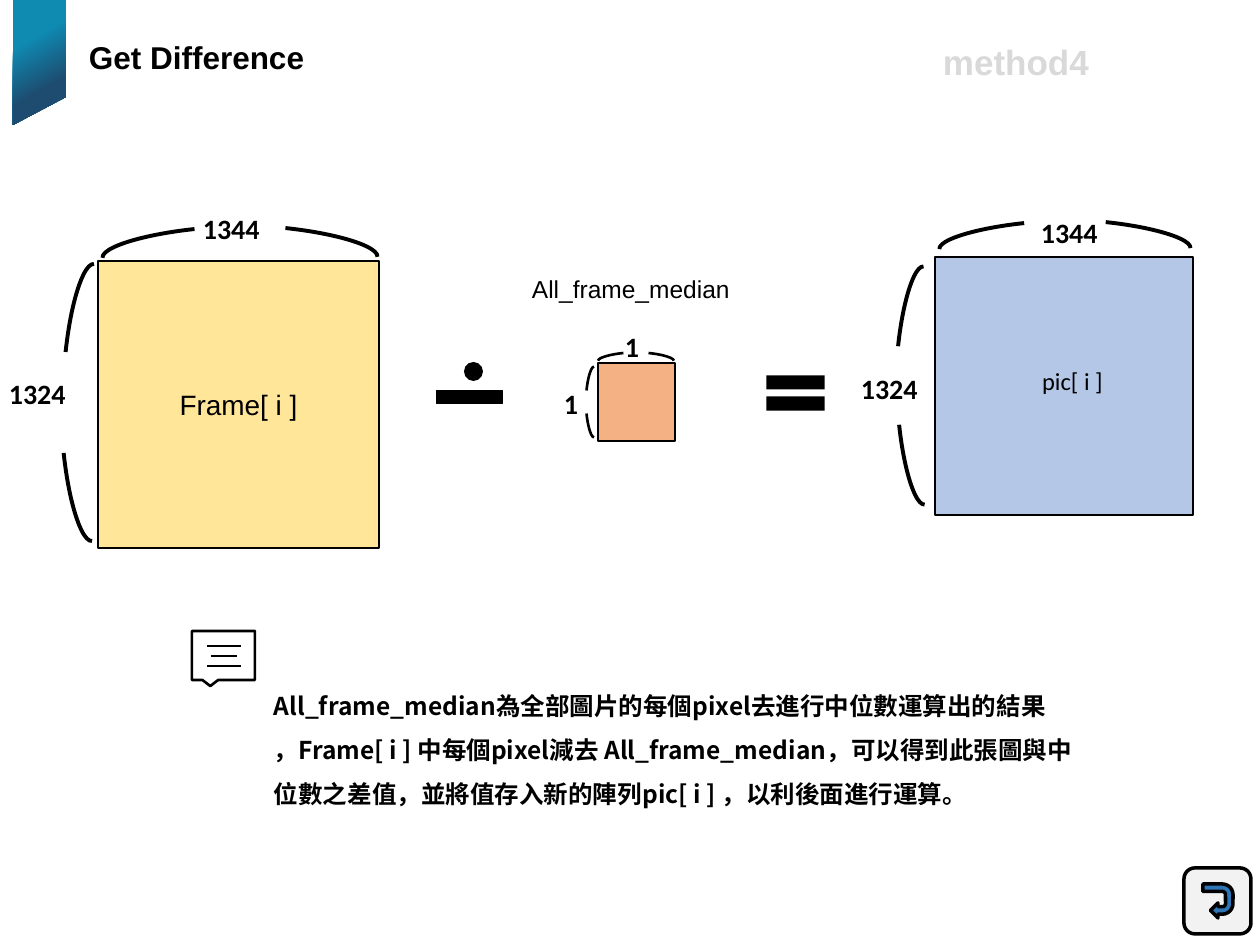
import pptx
import pptx.util
import pptx.dml.color
import pptx.enum.shapes
import pptx.enum.text
import pptx.oxml.ns
import lxml.etree

PX = 7257
RGB = pptx.dml.color.RGBColor
BLACK = RGB(0, 0, 0)
TEAL = RGB(0x0F, 0x8A, 0xB1)
NAVY = RGB(0x1E, 0x4B, 0x70)
YELLOW = RGB(0xFF, 0xE6, 0x99)
ORANGE = RGB(0xF4, 0xB1, 0x83)
PALE_BLUE = RGB(0xB4, 0xC7, 0xE7)
ARROW_BLUE = RGB(0x2E, 0x75, 0xB6)
PALE_GREY = RGB(0xF2, 0xF2, 0xF2)
TAG_GREY = RGB(0xD9, 0xD9, 0xD9)
KIND = pptx.enum.shapes.MSO_SHAPE
ALIGN = pptx.enum.text.PP_ALIGN
CJK = "Noto Sans CJK SC"

deck = pptx.Presentation()
deck.slide_width = pptx.util.Inches(10)
deck.slide_height = pptx.util.Inches(7.5)
slide = deck.slides.add_slide(deck.slide_layouts[6])


def add_figure(kind, box, fill=None, line=None, turn=0):
    figure = slide.shapes.add_shape(kind, *[v * PX for v in box])
    figure.shadow.inherit = False
    figure.rotation = turn
    if fill is None:
        figure.fill.background()
    else:
        figure.fill.solid()
        figure.fill.fore_color.rgb = fill
    if line is None:
        figure.line.fill.background()
    else:
        figure.line.color.rgb = BLACK
        figure.line.width = pptx.util.Pt(line)
    return figure


def add_words(words, box, size, font, bold=False, color=BLACK, align=ALIGN.LEFT, spacing=None, side=13):
    frame = slide.shapes.add_textbox(*[v * PX for v in box]).text_frame
    frame.word_wrap = True
    frame.margin_left = frame.margin_right = side * PX
    frame.text = words
    for paragraph in frame.paragraphs:
        paragraph.alignment = align
        paragraph.line_spacing = spacing
        for run in paragraph.runs:
            run.font.size = pptx.util.Pt(size)
            run.font.name = font
            run.font.bold = bold
            run.font.color.rgb = color
            if font == CJK:
                east_asian = lxml.etree.SubElement(run.font._element, pptx.oxml.ns.qn("a:ea"))
                east_asian.set("typeface", font)


pen = slide.shapes.build_freeform(13, 0, scale=PX)
pen.add_line_segments([(66, 0), (66, 97), (13, 125)], close=True)
ribbon = pen.convert_to_shape()
ribbon.shadow.inherit = False
ribbon.line.fill.background()
ribbon.fill.gradient()
ribbon.fill.gradient_angle = 300
for stop, color, position in zip(ribbon.fill.gradient_stops, (TEAL, NAVY), (0.32, 0.7)):
    stop.color.rgb = color
    stop.position = position

add_words("Get Difference", (76, 21, 276, 57), 18, "Arial", bold=True, spacing=1.3)

add_figure(KIND.ROUNDED_RECTANGLE, (1184, 868, 67, 66), PALE_GREY, 2)
return_arrow = add_figure(KIND.U_TURN_ARROW, (1201, 886, 34, 30), ARROW_BLUE, 2, 90)
for index, value in enumerate((0.25, 0.25, 0.25, 0.352, 0.75)):
    return_arrow.adjustments[index] = value

ARC_TURNS = ((354, True), (6, False), (264, True), (276, False))
matrices = [
    ((598, 363, 77, 78), ORANGE, 1.5, (52, 10), (49, 10),
     ((598, 353), (622, 353), (567, 408), (567, 386)),
     ("1", (625, 323, 16, 47)), ("1", (564, 380, 16, 47)), 0),
    ((98, 261, 281, 287), YELLOW, 2.25, (189, 38), (181, 38),
     ((102, 229), (189, 228), (-8, 432), (-6, 335)),
     ("1344", (190, 205, 111, 63)), ("1324", (-4, 370, 111, 63)), 13),
    ((935, 257, 258, 258), PALE_BLUE, 2.25, (174, 34), (164, 34),
     ((939, 223), (1017, 222), (834, 406), (833, 331)),
     ("1344", (1028, 209, 95, 54)), ("1324", (848, 365, 95, 54)), 13),
]
for square, color, weight, top_size, side_size, corners, width_label, height_label, inset in matrices:
    matrix = add_figure(KIND.RECTANGLE, square, color, 1.5)
    if color == YELLOW:
        matrix.text_frame.text = "Frame[ i ]"
        caption = matrix.text_frame.paragraphs[0]
        caption.alignment = ALIGN.CENTER
        caption.runs[0].font.size = pptx.util.Pt(16)
        caption.runs[0].font.name = "Arial"
        caption.runs[0].font.color.rgb = BLACK
        matrix.text_frame.vertical_anchor = pptx.enum.text.MSO_ANCHOR.MIDDLE
    sizes = (top_size, top_size, side_size, side_size)
    for corner, size, (turn, mirrored) in zip(corners, sizes, ARC_TURNS):
        bracket = add_figure(KIND.ARC, corner + size, line=weight, turn=turn)
        if mirrored:
            bracket._element.spPr.xfrm.set("flipH", "1")
    for words, box in (width_label, height_label):
        add_words(words, box, 16, "Calibri", bold=True, side=inset)

add_figure(KIND.MATH_EQUAL, (756, 363, 79, 60), BLACK)
add_figure(KIND.MATH_MINUS, (425, 370, 89, 54), BLACK, 0.25)
add_figure(KIND.OVAL, (464, 362, 19, 19), BLACK)

add_words("All_frame_median為全部圖片的每個pixel去進行中位數運算出的結果\n"
          "，Frame[ i ] 中每個pixel減去 All_frame_median，可以得到此張圖與中\n"
          "位數之差值，並將值存入新的陣列pic[ i ] ，以利後面進行運算。",
          (261, 670, 844, 146), 14, CJK, bold=True, spacing=1.5)
add_words("pic[ i ]", (1028, 360, 89, 43), 14, "Calibri", align=ALIGN.CENTER)
add_words("All_frame_median", (519, 268, 228, 43), 14, "Arial")

add_figure(KIND.RECTANGULAR_CALLOUT, (192, 631, 63, 49), line=1.5)
for left, right, y in ((207, 241, 646), (211, 237, 656), (207, 241, 666)):
    note_line = slide.shapes.add_connector(
        pptx.enum.shapes.MSO_CONNECTOR.STRAIGHT, left * PX, y * PX, right * PX, y * PX)
    note_line.line.color.rgb = BLACK
    note_line.line.width = pptx.util.Pt(1.5)
    lxml.etree.SubElement(note_line._element.spPr, pptx.oxml.ns.qn("a:effectLst"))

add_words("method4", (930, 34, 176, 55), 20, "Arial", bold=True, color=TAG_GREY)

deck.save("out.pptx")
